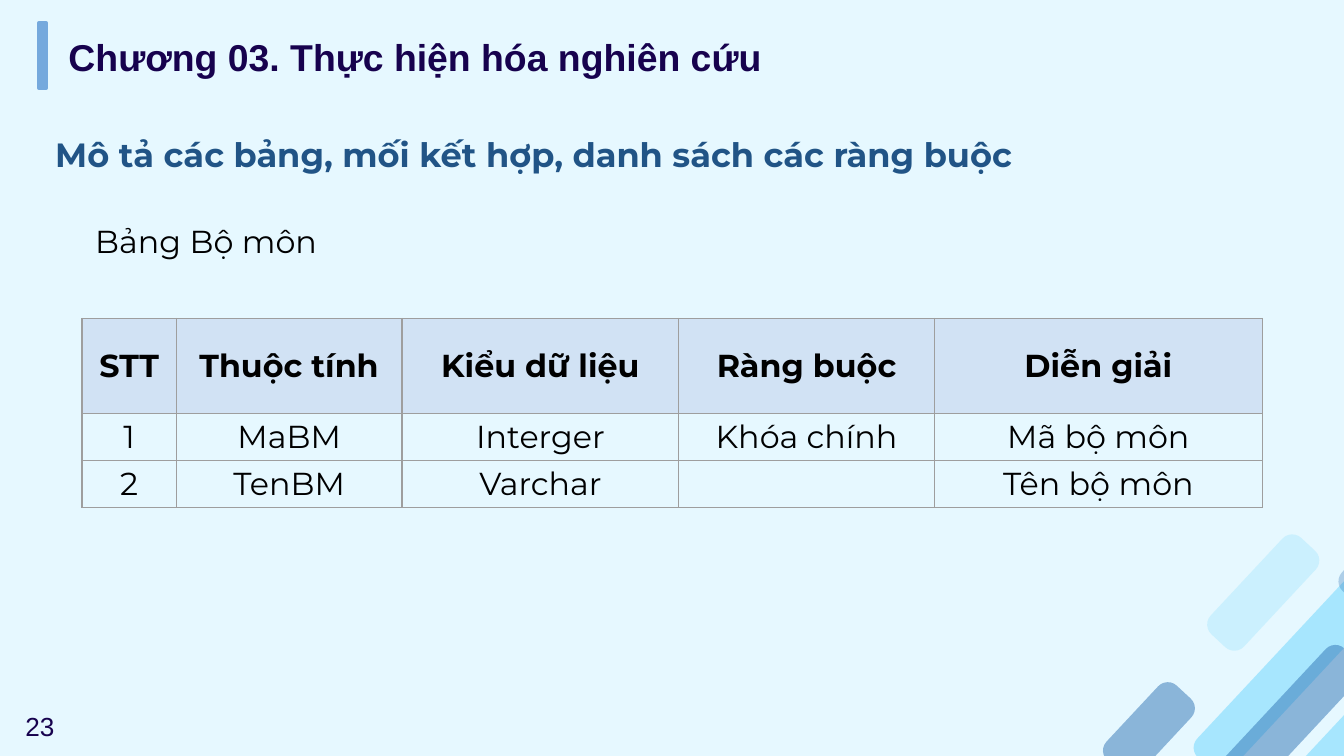
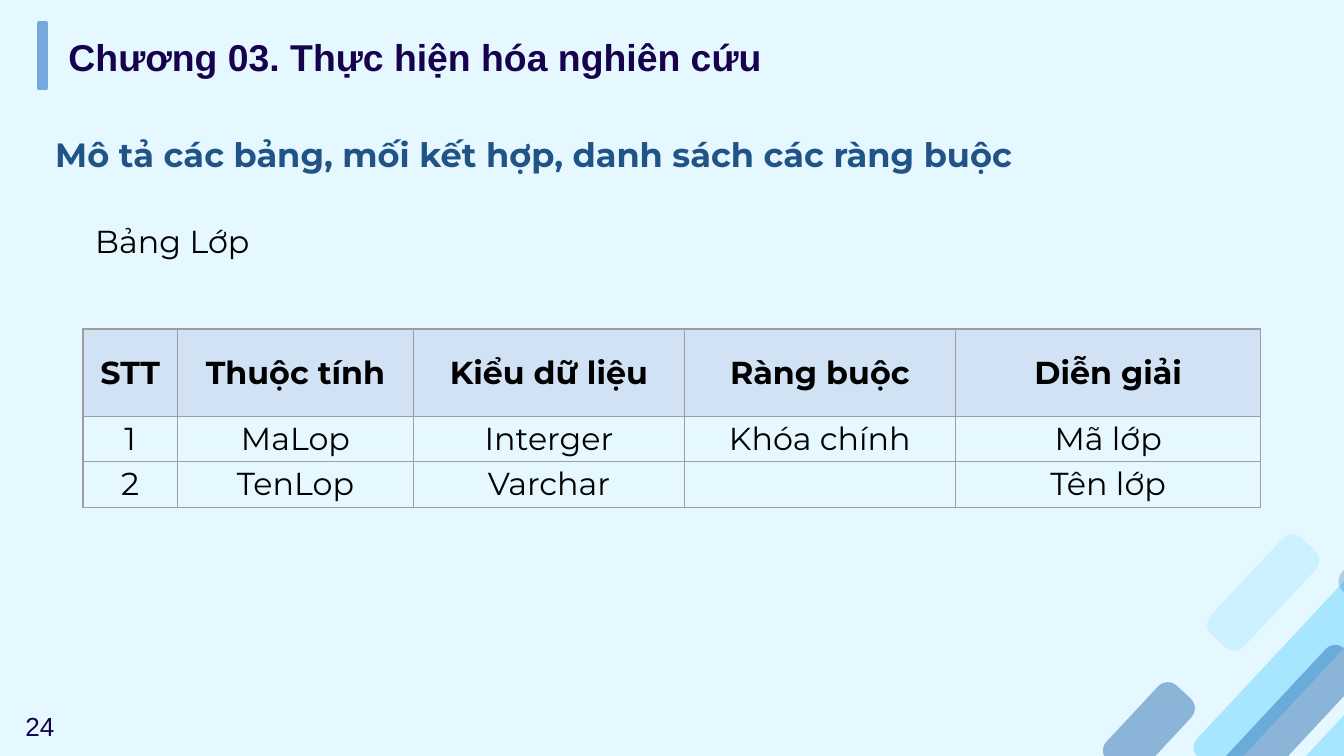
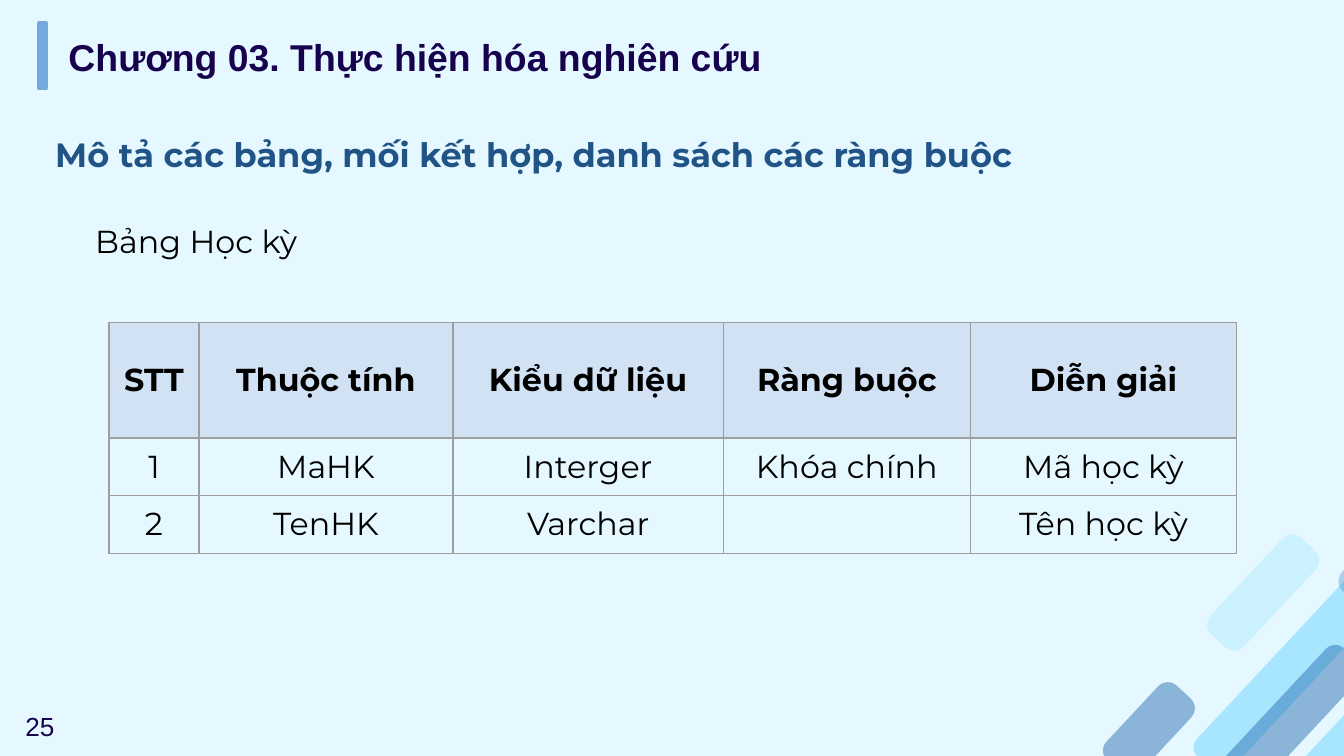
from dataclasses import dataclass

from lxml import etree
from pptx import Presentation
from pptx.dml.color import RGBColor
from pptx.enum.shapes import MSO_SHAPE
from pptx.enum.text import MSO_ANCHOR, MSO_AUTO_SIZE, PP_ALIGN
from pptx.oxml.ns import qn
from pptx.slide import Slide, SlideLayout
from pptx.table import _Cell
from pptx.text.text import TextFrame, _Paragraph
from pptx.util import Cm, Pt

ROUNDED = MSO_SHAPE.ROUNDED_RECTANGLE
RECTANGLE = MSO_SHAPE.RECTANGLE
TOP, MIDDLE = MSO_ANCHOR.TOP, MSO_ANCHOR.MIDDLE
LEFT, CENTER, JUSTIFY = PP_ALIGN.LEFT, PP_ALIGN.CENTER, PP_ALIGN.JUSTIFY
GROW = MSO_AUTO_SIZE.SHAPE_TO_FIT_TEXT

PALE_BLUE = RGBColor(0xE6, 0xF8, 0xFF)
DEEP_BLUE = RGBColor(0x2C, 0x70, 0xB3)
SKY_BLUE = RGBColor(0x17, 0xBF, 0xFE)
BAR_BLUE = RGBColor(0x75, 0xA9, 0xDD)
HEADER_BLUE = RGBColor(0xD1, 0xE2, 0xF4)
HEADING_BLUE = RGBColor(0x21, 0x54, 0x86)
NAVY = RGBColor(0x17, 0x02, 0x4E)
BLACK = RGBColor(0, 0, 0)
BORDER_GREY = RGBColor(0x9E, 0x9E, 0x9E)

CHAPTER = "Chương 03. Thực hiện hóa nghiên cứu"
HEADING = "Mô tả các bảng, mối kết hợp, danh sách các ràng buộc"
COLUMN_TITLES = ("STT", "Thuộc tính", "Kiểu dữ liệu", "Ràng buộc", "Diễn giải")
FIRST_PAGE = 23
STRIPE_ANGLE = 313
STRIPE_HEIGHT = 0.86


@dataclass(frozen=True)
class TextStyle:
    font: str
    size: float
    color: RGBColor
    bold: bool = False


CHAPTER_STYLE = TextStyle("Arial", 20, NAVY, True)
HEADING_STYLE = TextStyle("Montserrat", 18, HEADING_BLUE, True)
HEADER_STYLE = TextStyle("Montserrat", 17, BLACK, True)
BODY_STYLE = TextStyle("Montserrat", 17, BLACK)
PAGE_STYLE = TextStyle("Arial", 14, NAVY)


@dataclass(frozen=True)
class Box:
    """A frame in centimetres."""
    left: float
    top: float
    width: float
    height: float

    def lengths(self) -> tuple[Cm, Cm, Cm, Cm]:
        return Cm(self.left), Cm(self.top), Cm(self.width), Cm(self.height)


CHAPTER_BOX = Box(1.04, 0.51, 20.75, 1.12)
HEADING_BOX = Box(0.79, 2.03, 24.03, 1.27)
CAPTION_BOX = Box(1.55, 4.06, 5.59, 0.99)
PAGE_BOX = Box(0.23, 13.31, 1.5, 0.86)
BAR_BOX = Box(0.74, 0.43, 0.13, 1.24)


@dataclass(frozen=True)
class Stripe:
    left: float
    top: float
    length: float
    color: RGBColor
    opacity: int


STRIPES = (
    Stripe(20.75, 13.36, 1.93, DEEP_BLUE, 49),
    Stripe(21.87, 11.94, 5.66, SKY_BLUE, 30),
    Stripe(20.78, 14.02, 5.66, DEEP_BLUE, 49),
    Stripe(24.51, 13.64, 1.93, SKY_BLUE, 30),
    Stripe(22.63, 10.77, 2.49, SKY_BLUE, 13),
    Stripe(25.2, 10.16, 1.93, DEEP_BLUE, 30),
)


@dataclass(frozen=True)
class Entity:
    """A database table with a key and a name, and the layout of its grid."""
    name: str
    code: str
    left: float
    top: float
    column_widths: tuple[float, ...]
    row_height: float
    header_height: float

    def rows(self) -> tuple[tuple[str, ...], ...]:
        noun = self.name.lower()
        return (
            COLUMN_TITLES,
            ("1", f"Ma{self.code}", "Interger", "Khóa chính", f"Mã {noun}"),
            ("2", f"Ten{self.code}", "Varchar", "", f"Tên {noun}"),
        )


ENTITIES = (
    Entity("Bộ môn", "BM", 1.55, 6.02, (1.78, 4.27, 5.23, 4.83, 6.2), 0.89, 1.8),
    Entity("Lớp", "Lop", 1.57, 6.22, (1.78, 4.47, 5.11, 5.13, 5.77), 0.86, 1.65),
    Entity("Học kỳ", "HK", 2.06, 6.1, (1.7, 4.8, 5.11, 4.67, 5.03), 1.09, 2.18),
)


def add_run(paragraph: _Paragraph, text: str, style: TextStyle) -> None:
    run = paragraph.add_run()
    run.text = text
    run.font.name = style.font
    run.font.size = Pt(style.size)
    run.font.bold = style.bold
    run.font.color.rgb = style.color


def write_line(frame: TextFrame, text: str, style: TextStyle,
               alignment: PP_ALIGN = LEFT) -> _Paragraph:
    frame.word_wrap = True
    frame.auto_size = GROW
    frame.vertical_anchor = TOP
    line = frame.paragraphs[0]
    line.alignment = alignment
    add_run(line, text, style)
    return line


def add_label(slide: Slide, box: Box, text: str, style: TextStyle) -> None:
    write_line(slide.shapes.add_textbox(*box.lengths()).text_frame, text, style)


def fill_placeholders(slide: Slide) -> None:
    chapter, heading = slide.placeholders
    for placeholder, box in ((chapter, CHAPTER_BOX), (heading, HEADING_BOX)):
        (placeholder.left, placeholder.top,
         placeholder.width, placeholder.height) = box.lengths()
    write_line(chapter.text_frame, CHAPTER, CHAPTER_STYLE)
    line = write_line(heading.text_frame, HEADING, HEADING_STYLE, JUSTIFY)
    line.line_spacing = 1.5
    line.space_before = Pt(0)
    properties = line._p.get_or_add_pPr()
    properties.set("marL", "0")
    properties.set("indent", "0")
    etree.SubElement(properties, qn("a:buNone"))


def decorate_layout(layout: SlideLayout, slide: Slide) -> None:
    """Draw the stripes and the title bar on the slide, then move them to its layout."""
    layout.background.fill.solid()
    layout.background.fill.fore_color.rgb = PALE_BLUE
    for footer in list(layout.placeholders)[2:]:
        layout.shapes.element.remove(footer.element)

    decorations = []
    for stripe in STRIPES:
        box = Box(stripe.left, stripe.top, stripe.length, STRIPE_HEIGHT)
        shape = slide.shapes.add_shape(ROUNDED, *box.lengths())
        shape.adjustments[0] = 0.291
        shape.rotation = STRIPE_ANGLE
        shape.fill.solid()
        shape.fill.fore_color.rgb = stripe.color
        shape.line.fill.background()
        color = shape.element.spPr.find(qn("a:solidFill")).find(qn("a:srgbClr"))
        etree.SubElement(color, qn("a:alpha"), val=str(stripe.opacity * 1000))
        decorations.append(shape)

    bar = slide.shapes.add_shape(RECTANGLE, *BAR_BOX.lengths())
    bar.fill.solid()
    bar.fill.fore_color.rgb = BAR_BLUE
    bar.line.color.rgb = BAR_BLUE
    bar.line.width = Pt(2)
    decorations.append(bar)

    for shape in decorations:
        shape.shadow.inherit = False
        layout.shapes.element.append(shape.element)


def add_borders(cell: _Cell) -> None:
    properties = cell._tc.get_or_add_tcPr()
    for side in ("lnL", "lnR", "lnT", "lnB"):
        border = etree.SubElement(properties, qn(f"a:{side}"), w=str(Pt(0.75)))
        fill = etree.SubElement(border, qn("a:solidFill"))
        etree.SubElement(fill, qn("a:srgbClr"), val=str(BORDER_GREY))


def fill_cell(cell: _Cell, text: str, is_header: bool) -> None:
    cell.margin_left = cell.margin_right = Cm(0.18)
    cell.margin_top = cell.margin_bottom = Cm(0)
    cell.vertical_anchor = MIDDLE
    add_borders(cell)
    if is_header:
        cell.fill.solid()
        cell.fill.fore_color.rgb = HEADER_BLUE
    else:
        cell.fill.background()
    if text:
        line = cell.text_frame.paragraphs[0]
        line.alignment = CENTER
        add_run(line, text, HEADER_STYLE if is_header else BODY_STYLE)


def add_attribute_table(slide: Slide, entity: Entity) -> None:
    rows = entity.rows()
    heights = [entity.header_height] + [entity.row_height] * (len(rows) - 1)
    box = Box(entity.left, entity.top, sum(entity.column_widths), sum(heights))
    grid = slide.shapes.add_table(len(rows), len(COLUMN_TITLES), *box.lengths()).table
    grid.first_row = grid.horz_banding = False
    for column, width in zip(grid.columns, entity.column_widths):
        column.width = Cm(width)
    for row_index, (texts, height) in enumerate(zip(rows, heights)):
        grid.rows[row_index].height = Cm(height)
        for column_index, text in enumerate(texts):
            fill_cell(grid.cell(row_index, column_index), text, row_index == 0)


def main() -> None:
    deck = Presentation()
    deck.slide_width, deck.slide_height = Cm(25.4), Cm(14.29)
    layout = deck.slide_layouts[1]
    for page, entity in enumerate(ENTITIES, FIRST_PAGE):
        slide = deck.slides.add_slide(layout)
        if page == FIRST_PAGE:
            decorate_layout(layout, slide)
        fill_placeholders(slide)
        add_label(slide, CAPTION_BOX, f"Bảng {entity.name}", BODY_STYLE)
        add_attribute_table(slide, entity)
        add_label(slide, PAGE_BOX, str(page), PAGE_STYLE)
    deck.save("out.pptx")


if __name__ == "__main__":
    main()
